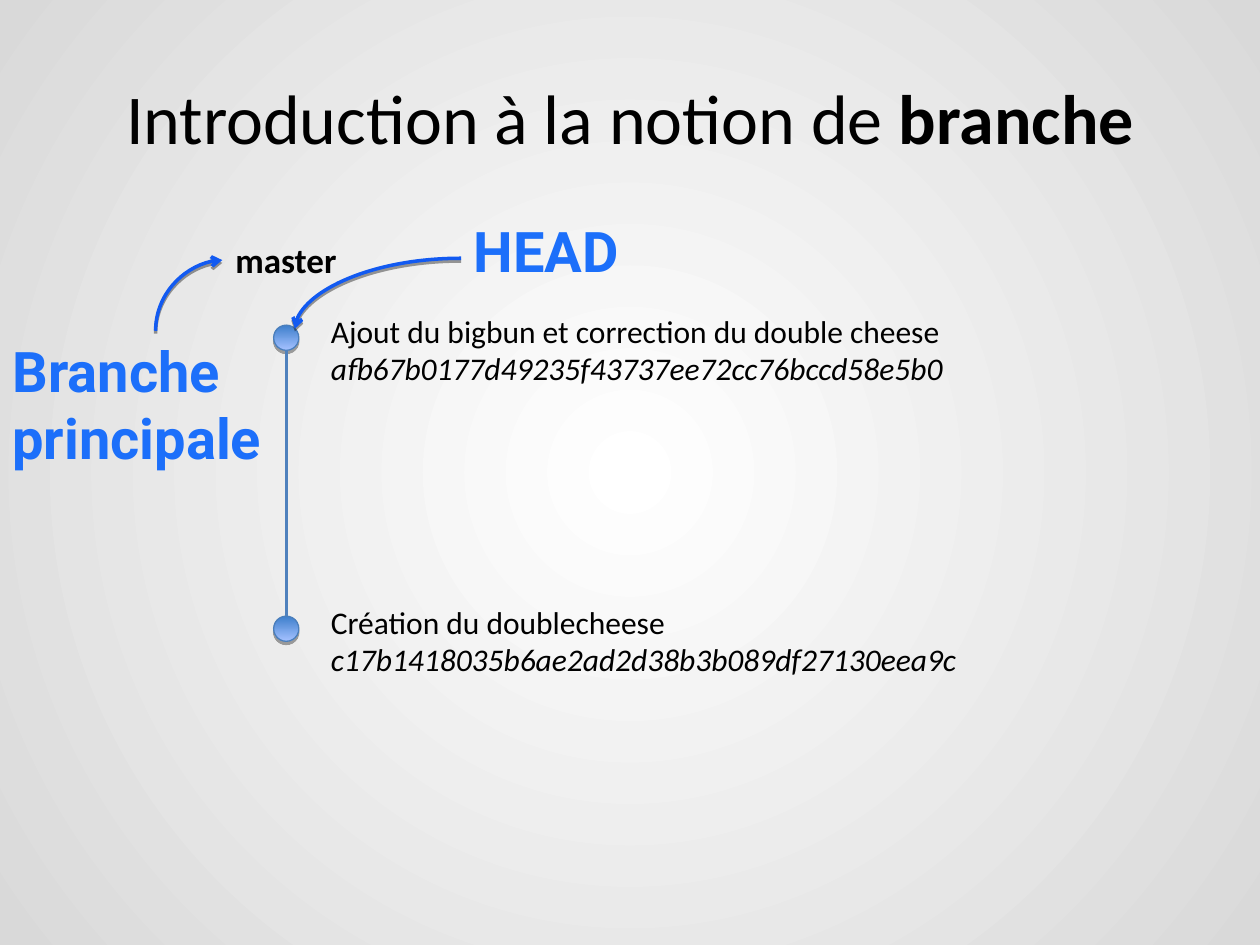
from dataclasses import dataclass

from lxml.etree import SubElement
from pptx import Presentation
from pptx.dml.color import RGBColor
from pptx.enum.shapes import MSO_CONNECTOR, MSO_SHAPE
from pptx.enum.text import MSO_ANCHOR, MSO_AUTO_SIZE, PP_ALIGN
from pptx.oxml.ns import qn
from pptx.util import Pt


@dataclass(frozen=True)
class Theme:
    """Fonts, type sizes and colours of the slide."""

    body_font: str = "Calibri"
    callout_font: str = "Roboto"
    title_size: int = 40
    branch_size: int = 20
    commit_size: int = 18
    callout_size: int = 32
    ink: str = "000000"
    callout: str = "1C6FFA"
    arrow: str = "125AF1"
    history: str = "4F81BD"
    node_border: str = "4A7EBB"
    node_stops: tuple = ("3E7FCC", "A4C1FF")
    backdrop_stops: tuple = ("FFFFFF", "D9D9D9")


THEME = Theme()
NODE_SIZE = 14.4
HISTORY_X = 163.6
COMMITS = (
    (193, 364.3, "Ajout du bigbun et correction du double cheese",
     "afb67b0177d49235f43737ee72cc76bccd58e5b0"),
    (359.3, 372.2, "Création du doublecheese",
     "c17b1418035b6ae2ad2d38b3b089df27130eea9c"),
)


def set_stops(fill, colours):
    """Give a gradient fill its two end colours."""
    for stop, colour in zip(fill.gradient_stops, colours):
        stop.color.rgb = RGBColor.from_string(colour)


def paint_backdrop(slide):
    """Fill the slide with a radial gradient."""
    fill = slide.background.fill
    fill.gradient()
    set_stops(fill, THEME.backdrop_stops)
    gradient = slide.element.find(".//" + qn("a:gradFill"))
    gradient.remove(gradient.find(qn("a:lin")))
    radial = SubElement(gradient, qn("a:path"), {"path": "circle"})
    centre = dict.fromkeys("ltrb", "50000")
    SubElement(radial, qn("a:fillToRect"), centre)


def add_run(paragraph, text, size, colour=THEME.ink, font=THEME.body_font,
            bold=False, italic=False):
    """Append one formatted run."""
    run = paragraph.add_run()
    run.text = text
    run.font.name = font
    run.font.size = Pt(size)
    run.font.bold = bold
    run.font.italic = italic
    run.font.color.rgb = RGBColor.from_string(colour)


def add_title(slide):
    """Place and write the title."""
    title = slide.shapes.title
    title.left, title.top, title.width, title.height = map(Pt, (36, 21.6, 648, 90))
    title.text_frame.vertical_anchor = MSO_ANCHOR.MIDDLE
    paragraph = title.text_frame.paragraphs[0]
    paragraph.alignment = PP_ALIGN.CENTER
    add_run(paragraph, "Introduction à la notion de ", THEME.title_size)
    add_run(paragraph, "branche", THEME.title_size, bold=True)


def add_label(slide, left, top, width, height, wrap=False):
    """Add an empty text box and return its text frame."""
    label = slide.shapes.add_textbox(Pt(left), Pt(top), Pt(width), Pt(height))
    frame = label.text_frame
    frame.word_wrap = wrap
    frame.auto_size = MSO_AUTO_SIZE.SHAPE_TO_FIT_TEXT
    return frame


def add_callout(slide, left, top, width, text):
    """Add a large blue annotation."""
    frame = add_label(slide, left, top, width, 84.2, wrap=True)
    add_run(frame.paragraphs[0], text, THEME.callout_size, THEME.callout,
            THEME.callout_font, bold=True)


def add_shadow(effects, distance, opacity):
    """Put a sharp shadow below the shape that owns the effect list."""
    shadow = SubElement(effects, qn("a:outerShdw"), {
        "blurRad": "0", "dist": str(Pt(distance)), "dir": "5400000",
        "rotWithShape": "0"})
    colour = SubElement(shadow, qn("a:srgbClr"), {"val": THEME.ink})
    SubElement(colour, qn("a:alpha"), {"val": str(opacity * 1000)})


def add_commit(slide, middle, width, message, digest):
    """Add a commit node with its message and hash."""
    node = slide.shapes.add_shape(
        MSO_SHAPE.OVAL, Pt(HISTORY_X - NODE_SIZE / 2), Pt(middle - NODE_SIZE / 2),
        Pt(NODE_SIZE), Pt(NODE_SIZE))
    node.fill.gradient()
    node.fill.gradient_angle = 270
    set_stops(node.fill, THEME.node_stops)
    node.line.color.rgb = RGBColor.from_string(THEME.node_border)
    node.line.width = Pt(0.75)
    node.shadow.inherit = False
    add_shadow(node.element.spPr.find(qn("a:effectLst")), 1.8, 35)

    frame = add_label(slide, 182, middle - 18.5, width, 50.4)
    add_run(frame.paragraphs[0], message, THEME.commit_size)
    add_run(frame.add_paragraph(), digest, THEME.commit_size, italic=True)


def add_line(slide, start, end, colour, kind=MSO_CONNECTOR.STRAIGHT):
    """Add a connector and return it with its effect list."""
    line = slide.shapes.add_connector(kind, *map(Pt, start + end))
    line.line.color.rgb = RGBColor.from_string(colour)
    line.line.width = Pt(2)
    return line, SubElement(line.element.spPr, qn("a:effectLst"))


def add_curved_arrow(slide, start, end, quarter_turns=0):
    """Add a quarter-curve arrow, turned clockwise about its centre."""
    arrow, effects = add_line(slide, start, end, THEME.arrow, MSO_CONNECTOR.CURVE)
    properties = arrow.element.spPr
    properties.find(qn("a:prstGeom")).set("prst", "curvedConnector2")
    properties.find(qn("a:xfrm")).set("rot", str(quarter_turns * 5400000))
    SubElement(properties.find(qn("a:ln")), qn("a:tailEnd"), {"type": "arrow"})
    add_shadow(effects, 1.6, 38)


def main():
    """Build and save the slide."""
    presentation = Presentation()
    presentation.slide_width, presentation.slide_height = Pt(720), Pt(540)
    slide = presentation.slides.add_slide(presentation.slide_layouts[5])
    paint_backdrop(slide)
    add_title(slide)

    branch = add_label(slide, 126.4, 132.5, 74, 31).paragraphs[0]
    branch.alignment = PP_ALIGN.CENTER
    add_run(branch, "master", THEME.branch_size, bold=True)

    for commit in COMMITS:
        add_commit(slide, *commit)
    newest, oldest = (commit[0] for commit in COMMITS)
    add_line(slide, (HISTORY_X, newest + NODE_SIZE / 2),
             (HISTORY_X, oldest - NODE_SIZE / 2), THEME.history)

    add_callout(slide, 0, 188.6, 177.8, "Branche principale")
    add_curved_arrow(slide, (128.2, 187.9), (87.8, 149.8), quarter_turns=1)
    add_callout(slide, 263.5, 120.2, 128.2, "HEAD")
    add_curved_arrow(slide, (263.5, 147.6), (168.5, 187.9))
    presentation.save("out.pptx")


if __name__ == "__main__":
    main()
